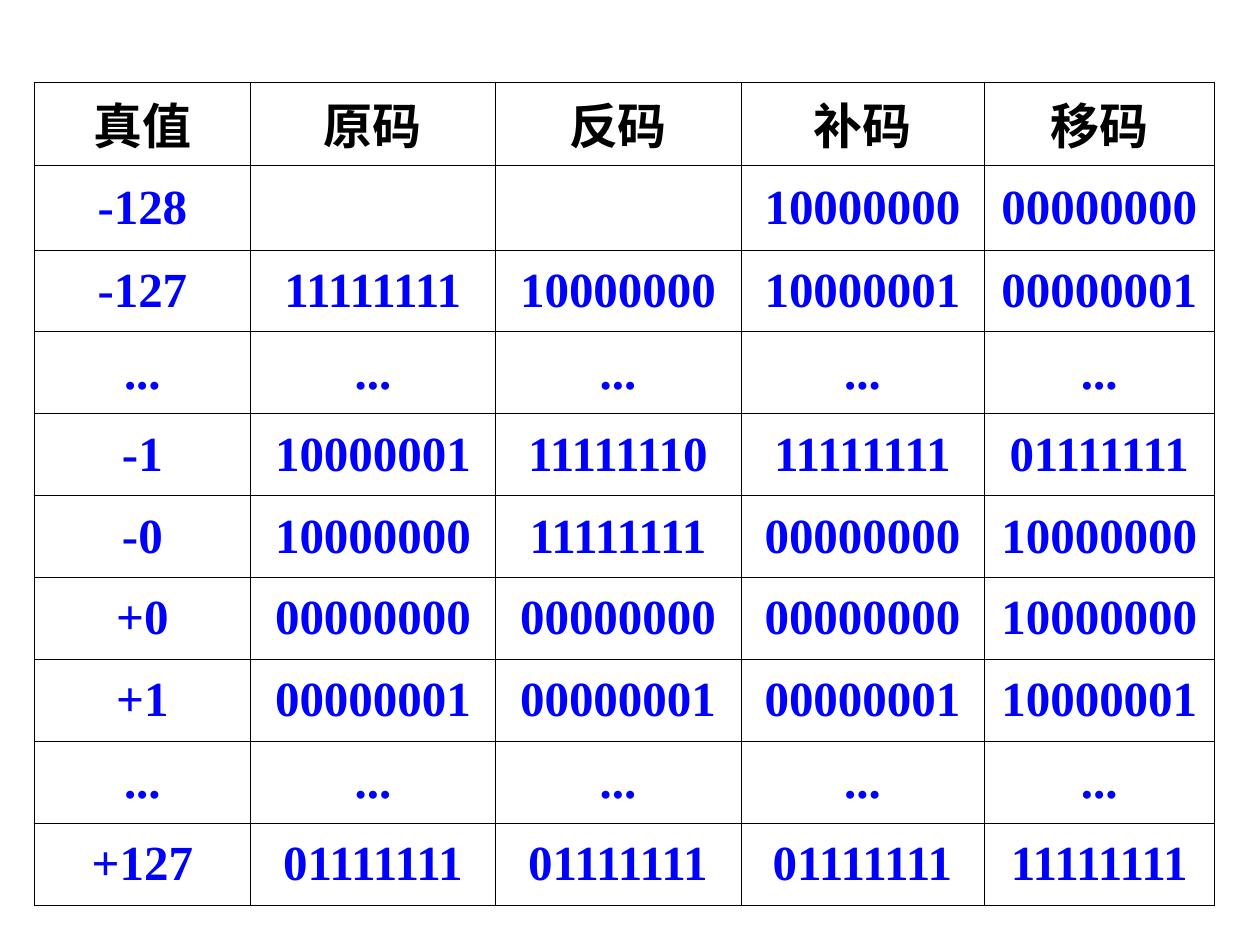
"""Build a slide comparing the signed 8-bit codes of a number in one table."""
from dataclasses import dataclass
from typing import NamedTuple

import pptx
import pptx.dml.color
import pptx.enum.text
import pptx.oxml
import pptx.oxml.ns
import pptx.table
import pptx.util


@dataclass(frozen=True)
class Theme:
    font: str = "Times New Roman"
    size: float = 28
    header: str = "000000"
    body: str = "0000FF"
    border: str = "000000"
    border_width: float = 0.34


class CodeRow(NamedTuple):
    value: str
    sign_magnitude: str
    ones_complement: str
    twos_complement: str
    offset: str


THEME = Theme()
SLIDE_WIDTH = pptx.util.Inches(10)
SLIDE_HEIGHT = pptx.util.Inches(7.5)
LEFT_PERCENT, TOP_PERCENT = 2.7, 8.67
COLUMN_PERCENTS = (17.2, 19.4, 19.5, 19.3, 18.3)
ROW_PERCENT, FIRST_VALUE_ROW_PERCENT = 8.67, 8.93
ELLIPSIS_ROW = CodeRow(*["..."] * 5)
ROWS = (
    CodeRow("真值", "原码", "反码", "补码", "移码"),
    CodeRow("-128", "", "", "10000000", "00000000"),
    CodeRow("-127", "11111111", "10000000", "10000001", "00000001"),
    ELLIPSIS_ROW,
    CodeRow("-1", "10000001", "11111110", "11111111", "01111111"),
    CodeRow("-0", "10000000", "11111111", "00000000", "10000000"),
    CodeRow("+0", "00000000", "00000000", "00000000", "10000000"),
    CodeRow("+1", "00000001", "00000001", "00000001", "10000001"),
    ELLIPSIS_ROW,
    CodeRow("+127", "01111111", "01111111", "01111111", "11111111"),
)


def across(percent: float) -> int:
    return round(SLIDE_WIDTH * percent / 100)


def down(percent: float) -> int:
    return round(SLIDE_HEIGHT * percent / 100)


def add_borders(cell: pptx.table._Cell) -> None:
    properties = cell._tc.get_or_add_tcPr()
    width = pptx.util.Pt(THEME.border_width)
    for position, side in enumerate(("lnL", "lnR", "lnT", "lnB")):
        line = pptx.oxml.parse_xml(
            f'<a:{side} {pptx.oxml.ns.nsdecls("a")} w="{width}"><a:solidFill>'
            f'<a:srgbClr val="{THEME.border}"/></a:solidFill></a:{side}>'
        )
        properties.insert(position, line)


def fill_cell(cell: pptx.table._Cell, text: str, color: str) -> None:
    cell.fill.background()
    add_borders(cell)
    cell.vertical_anchor = pptx.enum.text.MSO_ANCHOR.MIDDLE
    cell.text_frame.text = text
    paragraph = cell.text_frame.paragraphs[0]
    paragraph.alignment = pptx.enum.text.PP_ALIGN.CENTER
    for run in paragraph.runs:
        run.font.name = THEME.font
        run.font.size = pptx.util.Pt(THEME.size)
        run.font.bold = True
        run.font.color.rgb = pptx.dml.color.RGBColor.from_string(color)


def main() -> None:
    presentation = pptx.Presentation()
    presentation.slide_width = SLIDE_WIDTH
    presentation.slide_height = SLIDE_HEIGHT
    slide = presentation.slides.add_slide(presentation.slide_layouts[6])
    row_percents = [ROW_PERCENT] * len(ROWS)
    row_percents[1] = FIRST_VALUE_ROW_PERCENT
    table = slide.shapes.add_table(
        len(ROWS), len(COLUMN_PERCENTS), across(LEFT_PERCENT), down(TOP_PERCENT),
        across(sum(COLUMN_PERCENTS)), down(sum(row_percents)),
    ).table
    for column, percent in zip(table.columns, COLUMN_PERCENTS):
        column.width = across(percent)
    for row_index, (row, percent) in enumerate(zip(table.rows, row_percents)):
        row.height = down(percent)
        color = THEME.body if row_index else THEME.header
        for cell, text in zip(row.cells, ROWS[row_index]):
            fill_cell(cell, text, color)
    presentation.save("out.pptx")


if __name__ == "__main__":
    main()
